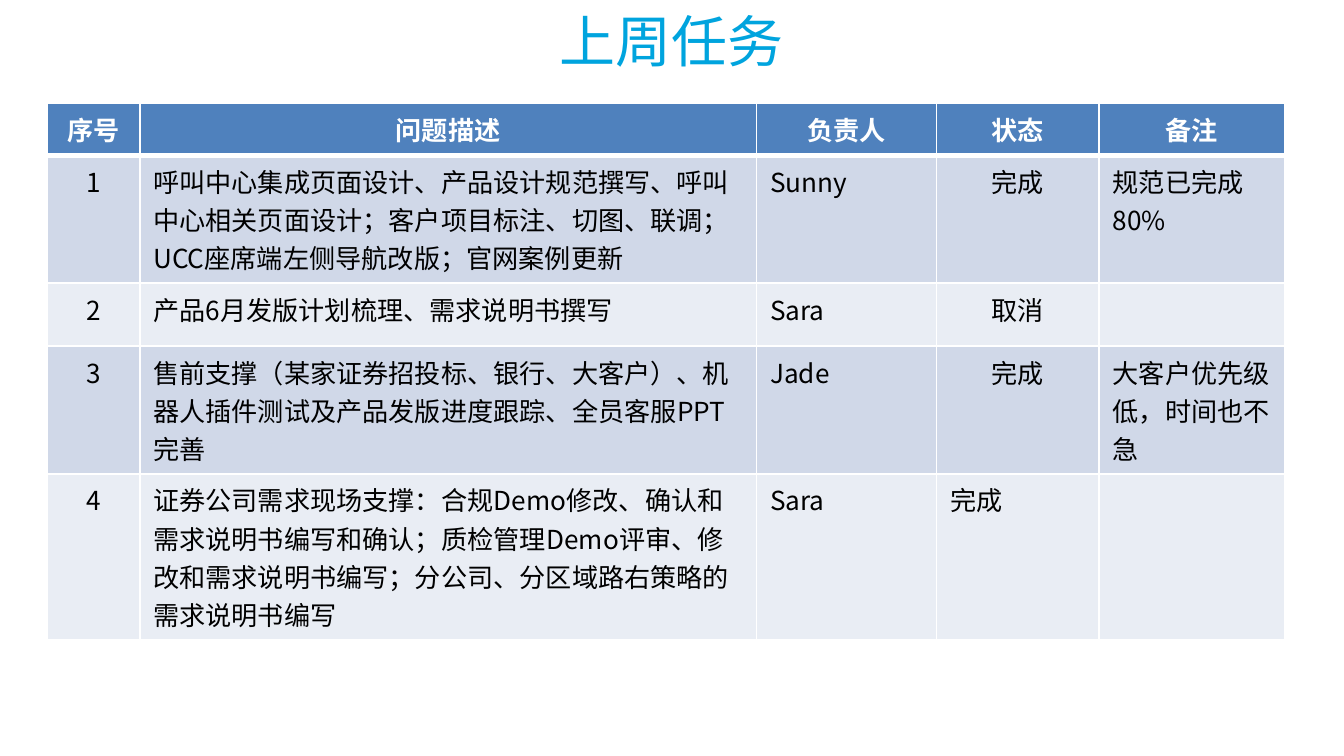
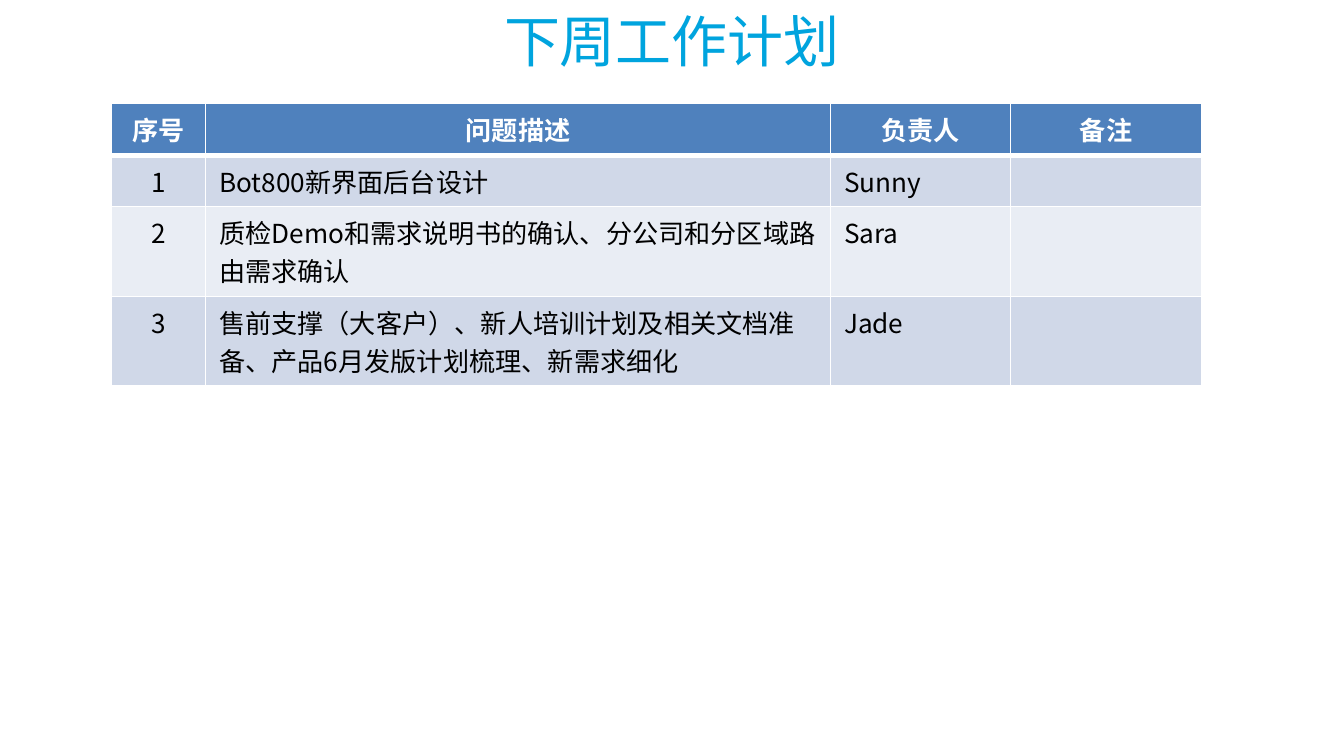
from lxml.etree import SubElement
from pptx import Presentation
from pptx.dml.color import RGBColor
from pptx.enum.text import MSO_ANCHOR, PP_ALIGN
from pptx.oxml.ns import qn
from pptx.util import Inches, Pt

FONT = "Noto Sans CJK SC"
COLORS = {
    "title": "00A4DE",
    "header": "4F81BD",
    "odd_row": "D0D8E8",
    "even_row": "E9EDF4",
    "text": "000000",
    "white": "FFFFFF",
}


class TaskDeck:
    """Holds the shared style and the current slide."""

    def __init__(self):
        self.deck = Presentation()
        # Widescreen, 16:9
        self.deck.slide_width = Inches(10)
        self.deck.slide_height = Inches(10 * 9 / 16)
        self.slide = None

    def format(self, paragraph, size, color, bold=False, align=PP_ALIGN.LEFT):
        paragraph.alignment = align
        font = paragraph.font
        font.size, font.bold, font.name = Pt(size), bold, FONT
        font.color.rgb = RGBColor.from_string(COLORS[color])
        # Chinese text takes its font from the East Asian entry
        defaults = paragraph._p.pPr.find(qn("a:defRPr"))
        SubElement(defaults, qn("a:ea"), typeface=FONT)

    def add_slide(self, heading):
        self.slide = self.deck.slides.add_slide(self.deck.slide_layouts[5])
        title = self.slide.shapes.title
        title.left, title.top = Inches(0), Inches(-0.02)
        title.width, title.height = Inches(10), Inches(0.63)
        title.text_frame.text = heading
        title.text_frame.vertical_anchor = MSO_ANCHOR.MIDDLE
        self.format(title.text_frame.paragraphs[0], 30, "title", align=PP_ALIGN.CENTER)

    def border(self, cell, top, bottom):
        widths = {"a:lnL": 1, "a:lnR": 1, "a:lnT": top, "a:lnB": bottom}
        properties = cell._tc.get_or_add_tcPr()
        for side, width in widths.items():
            line = SubElement(properties, qn(side), w=str(Pt(width)))
            fill = SubElement(line, qn("a:solidFill"))
            SubElement(fill, qn("a:srgbClr"), val=COLORS["white"])

    def add_table(self, left, widths, heights, rows, centered):
        """Centre the header and the body cells listed as (row, column)."""
        table = self.slide.shapes.add_table(
            len(rows), len(widths), Inches(left), Inches(0.77),
            Inches(sum(widths)), Inches(sum(heights))).table
        for column, width in zip(table.columns, widths):
            column.width = Inches(width)
        for row, height in zip(table.rows, heights):
            row.height = Inches(height)

        for r, row in enumerate(rows):
            is_header = r == 0
            band = "header" if is_header else "odd_row" if r % 2 else "even_row"
            for c, content in enumerate(row):
                cell = table.cell(r, c)
                self.border(cell, top=3 if r == 1 else 1, bottom=3 if is_header else 1)
                cell.fill.solid()
                cell.fill.fore_color.rgb = RGBColor.from_string(COLORS[band])
                cell.text = content
                middle = is_header or c == 0 or (r, c) in centered
                self.format(cell.text_frame.paragraphs[0], 14,
                            "white" if is_header else "text", is_header,
                            PP_ALIGN.CENTER if middle else PP_ALIGN.LEFT)


def main():
    tasks = TaskDeck()

    # Last week's tasks
    tasks.add_slide("上周任务")
    tasks.add_table(
        0.35, [0.69, 4.59, 1.34, 1.21, 1.38], [0.38, 0.48, 0.47, 0.81, 0.57],
        [
            ["序号", "问题描述", "负责人", "状态", "备注"],
            ["1", "呼叫中心集成页面设计、产品设计规范撰写、呼叫中心相关页面设计；"
                  "客户项目标注、切图、联调；UCC座席端左侧导航改版；官网案例更新",
             "Sunny", "完成", "规范已完成80%"],
            ["2", "产品6月发版计划梳理、需求说明书撰写", "Sara", "取消", ""],
            ["3", "售前支撑（某家证券招投标、银行、大客户）、机器人插件测试及"
                  "产品发版进度跟踪、全员客服PPT完善",
             "Jade", "完成", "大客户优先级低，时间也不急"],
            ["4", "证券公司需求现场支撑：合规Demo修改、确认和需求说明书编写和确认；"
                  "质检管理Demo评审、修改和需求说明书编写；"
                  "分公司、分区域路右策略的需求说明书编写",
             "Sara", "完成", ""],
        ],
        centered=[(1, 3), (2, 3), (3, 3)])

    # Next week's plan
    tasks.add_slide("下周工作计划")
    tasks.add_table(
        0.83, [0.7, 4.65, 1.34, 1.42], [0.38, 0.38, 0.39, 0.39],
        [
            ["序号", "问题描述", "负责人", "备注"],
            ["1", "Bot800新界面后台设计", "Sunny", ""],
            ["2", "质检Demo和需求说明书的确认、分公司和分区域路由需求确认", "Sara", ""],
            ["3", "售前支撑（大客户）、新人培训计划及相关文档准备、"
                  "产品6月发版计划梳理、新需求细化", "Jade", ""],
        ],
        centered=[])

    tasks.deck.save("out.pptx")


if __name__ == "__main__":
    main()
